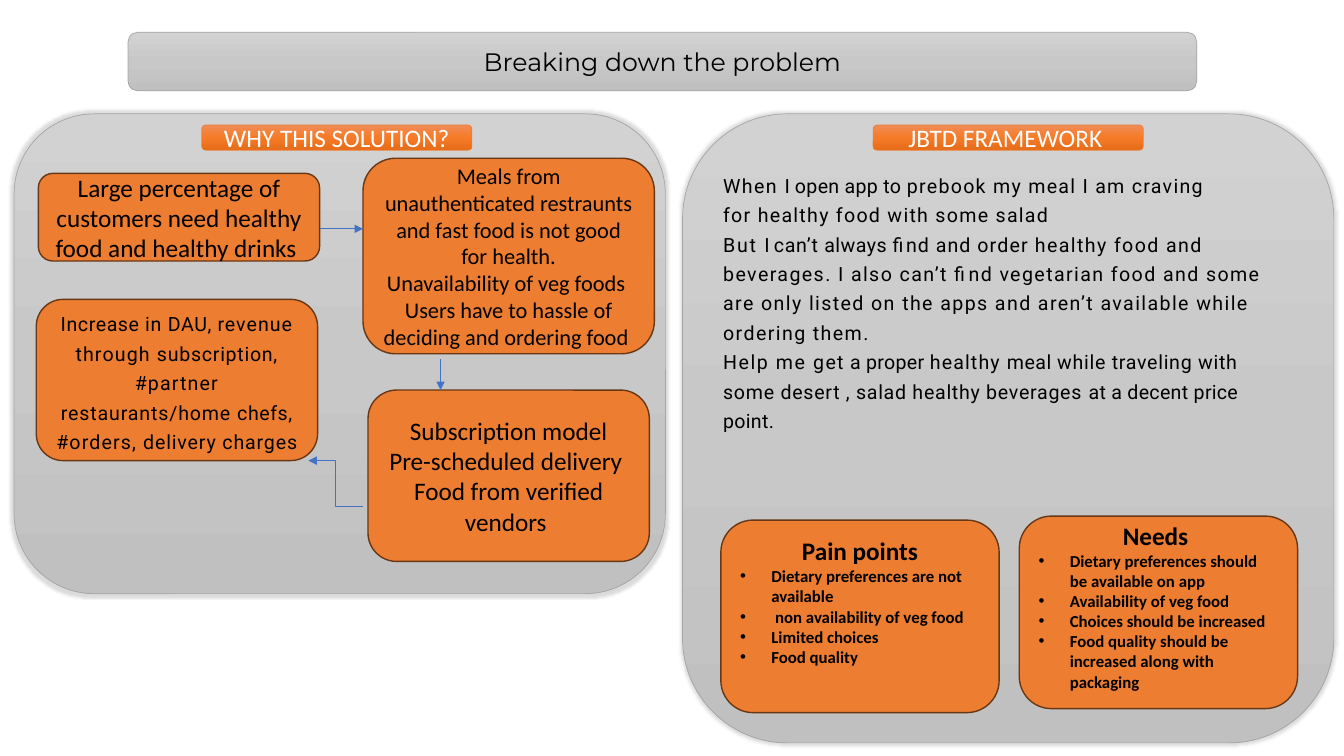
from copy import deepcopy

from lxml.etree import SubElement
from pptx import Presentation
from pptx.dml.color import RGBColor
from pptx.enum.shapes import MSO_CONNECTOR as LINK, MSO_SHAPE as SHAPE
from pptx.enum.text import MSO_ANCHOR as ANCHOR, PP_ALIGN as ALIGN
from pptx.oxml.ns import qn
from pptx.util import Inches, Pt

BLACK = RGBColor(0x00, 0x00, 0x00)
WHITE = RGBColor(0xFF, 0xFF, 0xFF)
BLUE = RGBColor(0x44, 0x72, 0xC4)
GRAY = RGBColor(0xA5, 0xA5, 0xA5)
ORANGE = RGBColor(0xED, 0x7D, 0x31)
BROWN = RGBColor(0x68, 0x37, 0x15)
SILVER = [RGBColor(0xD2, 0xD2, 0xD2), RGBColor(0xC8, 0xC8, 0xC8), RGBColor(0xC0, 0xC0, 0xC0)]
FLAME = [RGBColor(0xF1, 0x8C, 0x57), RGBColor(0xF6, 0x7B, 0x28), RGBColor(0xE5, 0x6C, 0x19)]

deck = Presentation()
deck.slide_width, deck.slide_height = Inches(13.33), Inches(7.5)
slide = deck.slides.add_slide(deck.slide_layouts[6])


def add_box(spot, fill, edge, width=0.5):
    """Add a rounded box; a list of three colours makes a downward gradient."""
    box = slide.shapes.add_shape(SHAPE.ROUNDED_RECTANGLE, *map(Inches, spot))
    box.shadow.inherit = False
    if isinstance(fill, list):
        box.fill.gradient()
        box.fill.gradient_angle = 270
        first = box._element.spPr.find(".//" + qn("a:gs"))
        first.addnext(deepcopy(first))
        for stop, color, place in zip(box.fill.gradient_stops, fill, (0, 0.5, 1)):
            stop.color.rgb = color
            stop.position = place
    else:
        box.fill.solid()
        box.fill.fore_color.rgb = fill
    box.line.color.rgb = edge
    box.line.width = Pt(width)
    frame = box.text_frame
    frame.word_wrap = True
    frame.vertical_anchor = ANCHOR.MIDDLE
    return box


def add_text(para, runs, align=ALIGN.CENTER, **style):
    """Fill a paragraph with (text, letter spacing in points) runs."""
    para.alignment = align
    look = {"name": "Calibri", "size": Pt(18), "bold": False} | style
    color = look.pop("color", BLACK)
    for text, space in runs:
        run = para.add_run()
        run.text = text
        for key, value in look.items():
            setattr(run.font, key, value)
        run.font.color.rgb = color
        if space:
            run._r.get_or_add_rPr().set("spc", str(round(space * 100)))


# Title and panels
title = add_box((1.27, 0.32, 10.6, 0.58), SILVER, GRAY)
add_text(title.text_frame.paragraphs[0], [("Breaking down the problem", 0)], name="Montserrat")

for left, high in ((0.14, 4.76), (6.77, 6.24)):
    panel = add_box((left, 1.13, 6.46, high), SILVER, GRAY)
    glow = SubElement(panel._element.spPr.find(qn("a:effectLst")), qn("a:glow"), rad=str(Inches(0.05)))
    tint = SubElement(glow, qn("a:srgbClr"), val=str(GRAY))
    SubElement(tint, qn("a:alpha"), val="40000")

for left, text in ((2, "WHY THIS SOLUTION?"), (8.66, "JBTD FRAMEWORK ")):
    label = add_box((left, 1.24, 2.68, 0.25), FLAME, ORANGE)
    add_text(label.text_frame.paragraphs[0], [(text, 0)], color=WHITE)

# Story in the right panel: right indent, then runs
story = [
    (0.7, [("When ", 1), ("I", -0.5), (" open app to ", 0.2),
           ("prebook my meal I am craving for healthy food with some salad", 0.9)]),
    (0.1, [("But ", 1.2), ("I ", -0.5), ("can’t ", 0.5), ("always ", 0.3), ("find and ", 0.7),
           ("order ", 0.8),
           ("healthy food and beverages. I also can’t find vegetarian food and some are only "
            "listed on the apps and aren’t available while ordering them.", 1)]),
    (0.1, [("Help me ", 1.1), ("get", 0.9), (" a proper ", 0.2), ("healthy ", 0.8), ("meal ", 0.3),
           ("while traveling with some desert , salad healthy beverages ", 0.5),
           ("at a decent price point.", 0.2)]),
]
frame = panel.text_frame
frame.vertical_anchor = ANCHOR.TOP
frame.margin_top = Inches(0.23)
for row, (right, runs) in enumerate(story):
    para = frame.add_paragraph() if row else frame.paragraphs[0]
    para.line_spacing = 1.25
    para._p.get_or_add_pPr().set("marR", str(Inches(right)))
    add_text(para, runs, ALIGN.LEFT, name="Roboto", size=Pt(14))

# Bulleted cards: left, top, bottom inset, heading, points
cards = [
    (7.15, 5.16, 0.35, "Pain points",
     ["Dietary preferences are not available", " non availability of veg food",
      "Limited choices", "Food quality"]),
    (10.11, 5.12, 0.18, "Needs ",
     ["Dietary preferences should be available on app", "Availability of veg food",
      "Choices should be increased", "Food quality should be increased along with packaging"]),
]
for left, top, inset, head, points in cards:
    frame = add_box((left, top, 2.76, 1.91), ORANGE, BROWN, 1).text_frame
    frame.margin_bottom = Inches(inset)
    add_text(frame.paragraphs[0], [(head, 0)], bold=True)
    for point in points:
        para = frame.add_paragraph()
        props = para._p.get_or_add_pPr()
        props.set("marL", str(Inches(0.31)))
        props.set("indent", str(-Inches(0.31)))
        SubElement(props, qn("a:buFont"), typeface="Arial")
        SubElement(props, qn("a:buChar"), char="•")
        add_text(para, [(point, 0)], ALIGN.LEFT, size=Pt(12), bold=True)

# Flow steps
steps = [
    ((0.38, 1.72, 2.79, 0.87), 18,
     ["Large percentage of customers need healthy food and healthy drinks "]),
    ((3.6, 1.57, 2.89, 1.94), 16,
     ["Meals from unauthenticated restraunts and fast food is not good for health.",
      "Unavailability of veg foods ", "Users have to hassle of deciding and ordering food "]),
    ((3.65, 3.87, 2.79, 1.7), 18,
     ["Subscription model", "Pre-scheduled delivery ", "Food from verified vendors "]),
]
for spot, size, lines in steps:
    frame = add_box(spot, ORANGE, BROWN, 1).text_frame
    for row, text in enumerate(lines):
        para = frame.add_paragraph() if row else frame.paragraphs[0]
        add_text(para, [(text, 0)], size=Pt(size))

gains = [("Increase ", 0.4), ("in ", 0.5), ("DAU, ", 0.4), ("revenue ", 0.7), ("through ", 0.8),
         ("subscription, ", 0.5), ("#partner ", 0.8), ("restaurants/home ", 0.6),
         ("chefs, ", 0.4), ("#orders, ", 0.8), ("delivery charges", 0.6)]
para = add_box((0.36, 2.97, 2.79, 1.6), ORANGE, BROWN, 1).text_frame.paragraphs[0]
para.line_spacing = 1.25
add_text(para, gains, name="Roboto", size=Pt(14))

# Arrows between steps
arrows = [
    (LINK.STRAIGHT, (3.17, 2.27, 3.6, 2.27)),
    (LINK.STRAIGHT, (4.37, 3.56, 4.37, 3.87)),
    (LINK.ELBOW, (3.6, 5.02, 3.06, 4.57)),
]
for kind, ends in arrows:
    arrow = slide.shapes.add_connector(kind, *map(Inches, ends))
    arrow.line.color.rgb = BLUE
    arrow.line.width = Pt(0.5)
    SubElement(arrow.line._get_or_add_ln(), qn("a:tailEnd"), type="triangle")
    SubElement(arrow._element.spPr, qn("a:effectLst"))

deck.save("out.pptx")
